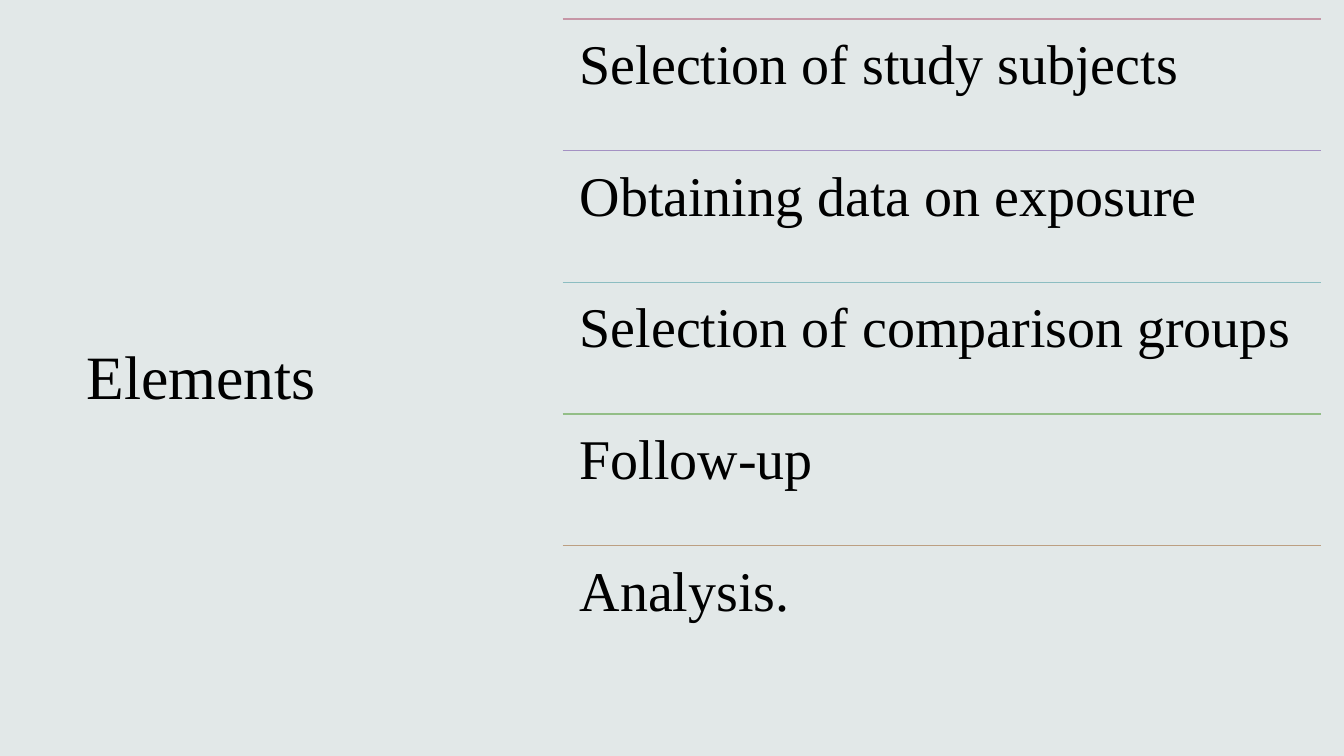
"""Build the slide listing the elements of a cohort study."""
from dataclasses import dataclass

from pptx import Presentation
from pptx.dml.color import RGBColor
from pptx.enum.shapes import MSO_CONNECTOR
from pptx.enum.text import MSO_ANCHOR, PP_ALIGN
from pptx.oxml.ns import qn
from pptx.util import Inches, Pt
from lxml.etree import SubElement

TITLE = "Elements"
ELEMENTS = [
    ("Selection of study subjects", "C696A6"),
    ("Obtaining data on exposure", "A491C3"),
    ("Selection of comparison groups", "8CBDC1"),
    ("Follow-up", "93BE87"),
    ("Analysis.", "BC9F82"),
]


@dataclass(frozen=True)
class Theme:
    font: str = "Times New Roman"
    text: str = "000000"
    background: str = "E2E8E8"
    title_size: int = 44
    element_size: int = 40
    rule_width: int = 1


THEME = Theme()
LIST_LEFT, LIST_TOP = Inches(5.58), Inches(0.19)
LIST_WIDTH, LIST_HEIGHT = Inches(7.52), Inches(6.53)
INSET = Inches(0.17)


def write(tf, text, size):
    tf.word_wrap = True
    p = tf.paragraphs[0]
    p.alignment = PP_ALIGN.LEFT
    p.line_spacing = 0.9
    r = p.add_run()
    r.text = text
    r.font.name = THEME.font
    r.font.size = Pt(size)
    r.font.color.rgb = RGBColor.from_string(THEME.text)


def add_title(s):
    title = s.shapes.title
    title.left, title.top = Inches(0.76), Inches(0.79)
    title.width, title.height = Inches(3.75), Inches(5.95)
    title.text_frame.vertical_anchor = MSO_ANCHOR.MIDDLE
    write(title.text_frame, TITLE, THEME.title_size)


def add_rule(s, top, color):
    rule = s.shapes.add_connector(
        MSO_CONNECTOR.STRAIGHT, LIST_LEFT, top, LIST_LEFT + LIST_WIDTH, top)
    rule.line.color.rgb = RGBColor.from_string(color)
    rule.line.width = Pt(THEME.rule_width)
    SubElement(rule.line._get_or_add_ln().getparent(), qn("a:effectLst"))


def add_element(s, top, height, text):
    tf = s.shapes.add_textbox(LIST_LEFT, top, LIST_WIDTH, height).text_frame
    tf.margin_left = tf.margin_right = INSET
    tf.margin_top = tf.margin_bottom = INSET
    tf.vertical_anchor = MSO_ANCHOR.TOP
    write(tf, text, THEME.element_size)


def main():
    prs = Presentation()
    prs.slide_width, prs.slide_height = Inches(13.33), Inches(7.5)
    s = prs.slides.add_slide(prs.slide_layouts[5])
    s.background.fill.solid()
    s.background.fill.fore_color.rgb = RGBColor.from_string(THEME.background)
    add_title(s)
    row_height = LIST_HEIGHT // len(ELEMENTS)
    for i, (text, color) in enumerate(ELEMENTS):
        top = LIST_TOP + i * row_height
        add_rule(s, top, color)
        add_element(s, top, row_height, text)
    prs.save("out.pptx")


if __name__ == "__main__":
    main()
